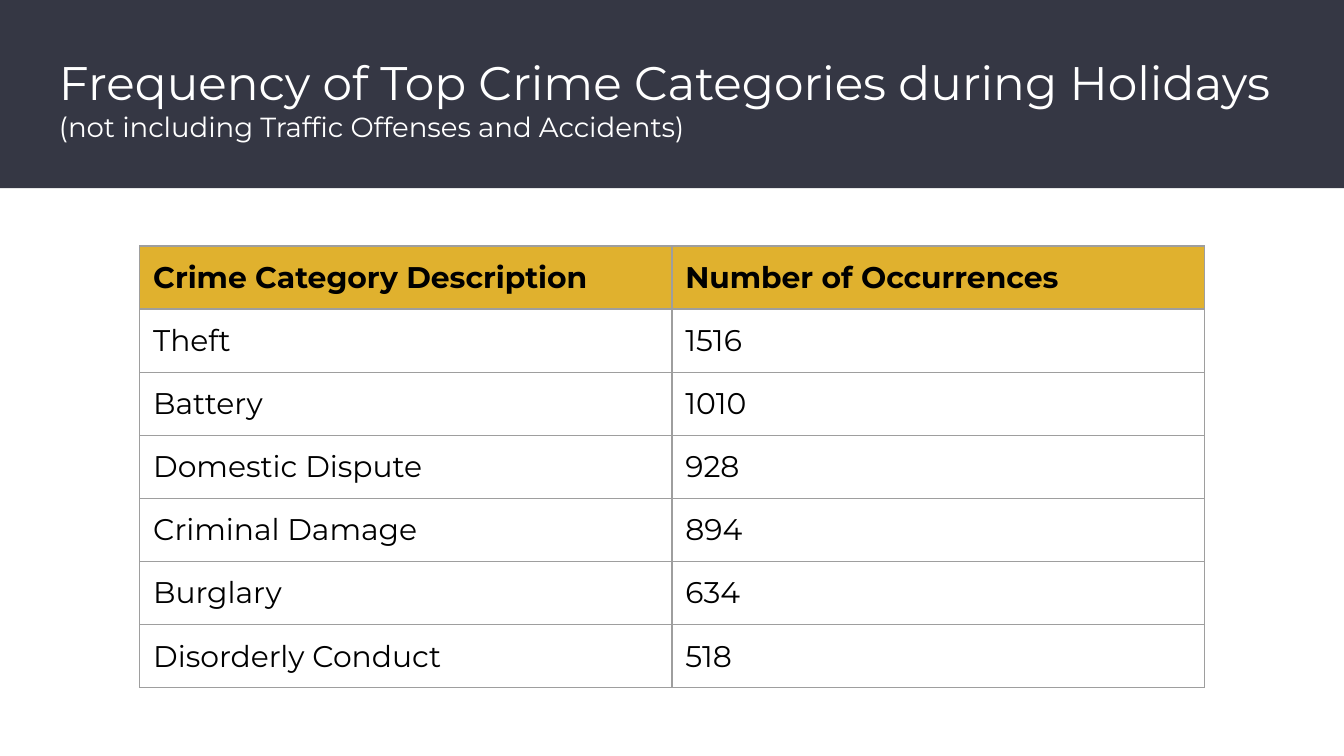
from lxml.etree import SubElement
from pptx import Presentation
from pptx.dml.color import RGBColor
from pptx.enum.shapes import MSO_SHAPE as Shape
from pptx.enum.text import MSO_ANCHOR as Anchor
from pptx.oxml.ns import qn
from pptx.util import Inches, Pt

TITLE = "Frequency of Top Crime Categories during Holidays "
SUBTITLE = "(not including Traffic Offenses and Accidents)"
ROWS = [
    ("Crime Category Description", "Number of Occurrences"),
    ("Theft", "1516"),
    ("Battery", "1010"),
    ("Domestic Dispute", "928"),
    ("Criminal Damage", "894"),
    ("Burglary", "634"),
    ("Disorderly Conduct", "518"),
]

FONT = "Montserrat"
SLATE = RGBColor(0x35, 0x37, 0x44)
GOLD = RGBColor(0xE0, 0xB1, 0x2E)
GRAY = RGBColor(0x9E, 0x9E, 0x9E)
WHITE = RGBColor(0xFF, 0xFF, 0xFF)
BLACK = RGBColor(0x00, 0x00, 0x00)

WIDTH = Inches(10)
HEIGHT = WIDTH * 9 // 16
BAND_HEIGHT = Inches(1.4)
TITLE_MARGIN = Inches(0.34)
TABLE_LEFT, TABLE_TOP = Inches(1.04), Inches(1.83)
ROW_HEIGHT = Inches(0.47)
INSET = Inches(0.1)


def add_run(paragraph, text, size, color, bold=False):
    run = paragraph.add_run()
    run.text = text
    run.font.name = FONT
    run.font.size = Pt(size)
    run.font.bold = bold
    run.font.color.rgb = color


def set_insets(target):
    target.margin_left = target.margin_right = INSET
    target.margin_top = target.margin_bottom = INSET


def add_borders(cell):
    properties = cell._tc.get_or_add_tcPr()
    for position, side in enumerate(("a:lnL", "a:lnR", "a:lnT", "a:lnB")):
        line = SubElement(properties, qn(side), w=str(Pt(0.75)))
        fill = SubElement(line, qn("a:solidFill"))
        SubElement(fill, qn("a:srgbClr"), val=str(GRAY))
        properties.remove(line)
        properties.insert(position, line)


def add_header(slide):
    band = slide.shapes.add_shape(Shape.RECTANGLE, 0, 0, WIDTH, BAND_HEIGHT)
    band.shadow.inherit = False
    band.fill.solid()
    band.fill.fore_color.rgb = SLATE
    band.line.fill.background()

    title = slide.shapes.add_textbox(
        TITLE_MARGIN, Inches(0.3), WIDTH - 2 * TITLE_MARGIN, Inches(0.68))
    frame = title.text_frame
    frame.word_wrap = True
    frame.vertical_anchor = Anchor.TOP
    set_insets(frame)
    add_run(frame.paragraphs[0], TITLE, 25.2, WHITE)
    add_run(frame.paragraphs[0], SUBTITLE, 14.8, WHITE)


def add_crime_table(slide):
    table = slide.shapes.add_table(
        len(ROWS), len(ROWS[0]), TABLE_LEFT, TABLE_TOP,
        WIDTH - 2 * TABLE_LEFT, ROW_HEIGHT * len(ROWS)).table
    table.horz_banding = False
    for row_index, values in enumerate(ROWS):
        is_header = row_index == 0
        for column_index, value in enumerate(values):
            cell = table.cell(row_index, column_index)
            set_insets(cell)
            cell.fill.solid()
            cell.fill.fore_color.rgb = GOLD if is_header else WHITE
            add_borders(cell)
            add_run(cell.text_frame.paragraphs[0], value, 16, BLACK, bold=is_header)


presentation = Presentation()
presentation.slide_width, presentation.slide_height = WIDTH, HEIGHT
slide = presentation.slides.add_slide(presentation.slide_layouts[6])
add_header(slide)
add_crime_table(slide)
presentation.save("out.pptx")
